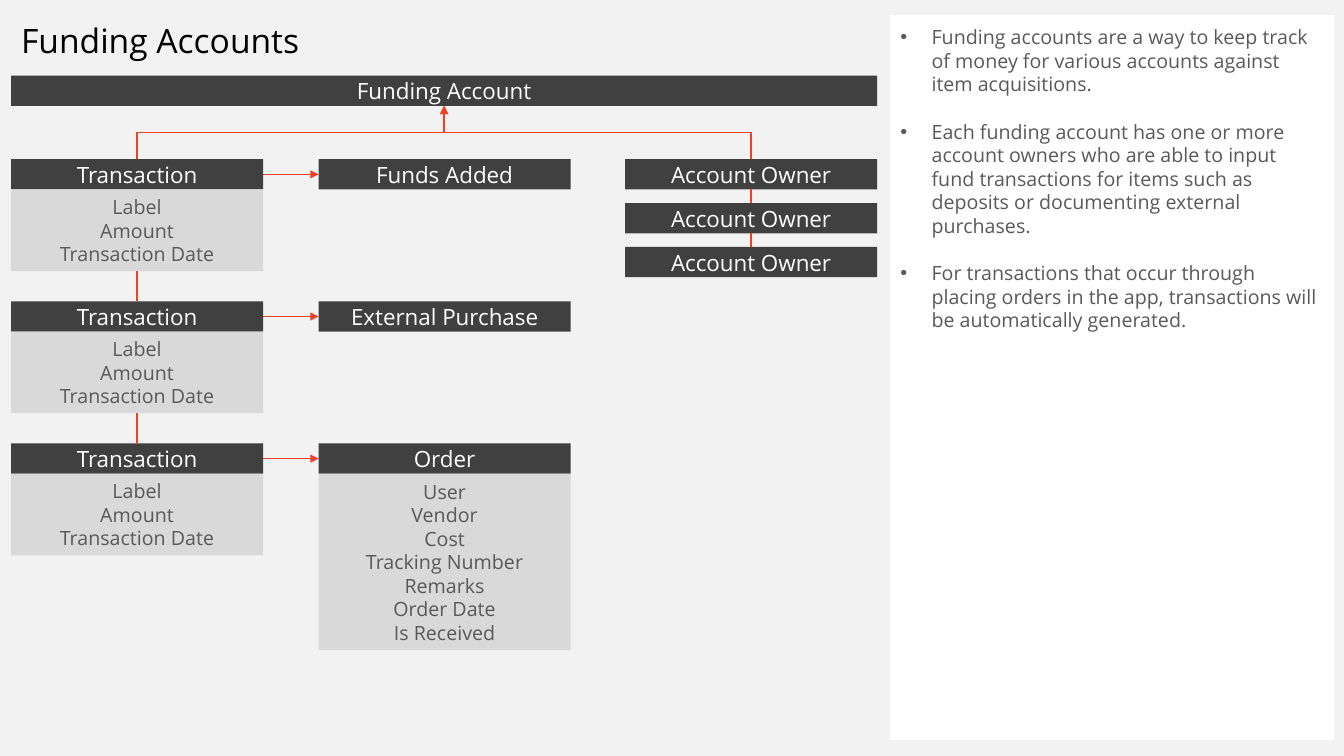
from dataclasses import dataclass

from pptx import Presentation
from pptx.dml.color import RGBColor
from pptx.enum.shapes import MSO_CONNECTOR as Conn, MSO_SHAPE as Shape
from pptx.enum.text import MSO_ANCHOR as Anchor, MSO_AUTO_SIZE as AutoSize, PP_ALIGN as Align
from pptx.oxml.ns import qn
from pptx.oxml.xmlchemy import OxmlElement
from pptx.shapes.autoshape import Shape as AutoShape
from pptx.shapes.connector import Connector
from pptx.slide import Slide
from pptx.text.text import TextFrame
from pptx.util import Inches, Pt

FONT = "Open Sans"
BACKGROUND = RGBColor(0xF2, 0xF2, 0xF2)
WHITE = RGBColor(0xFF, 0xFF, 0xFF)
BLACK = RGBColor(0, 0, 0)
DARK = RGBColor(0x40, 0x40, 0x40)
LIGHT = RGBColor(0xD9, 0xD9, 0xD9)
GREY = RGBColor(0x59, 0x59, 0x59)
RED = RGBColor(0xF1, 0x41, 0x24)

TOP, LEFT, BOTTOM, RIGHT = range(4)
COLS = (0.11, 3.16, 6.2)
ROWS = [1.58 + 1.41 * i for i in range(3)]
OWNER_PITCH = 0.435
HEADER_H, BOX_W, FULL_W = 0.3, 2.5, 8.59

NOTES = (
    "Funding accounts are a way to keep track of money for various accounts "
    "against item acquisitions.",
    "Each funding account has one or more account owners who are able to input "
    "fund transactions for items such as deposits or documenting external purchases.",
    "For transactions that occur through placing orders in the app, transactions "
    "will be automatically generated.",
)


@dataclass
class Entity:
    name: str
    x: float
    y: float
    fields: tuple[str, ...] = ()
    fields_h: float = 0.81
    w: float = BOX_W


def add_lines(tf: TextFrame, lines: tuple[str, ...], size: int, color: RGBColor,
              align: Align = Align.LEFT) -> None:
    for i, line in enumerate(lines):
        p = tf.paragraphs[0] if i == 0 else tf.add_paragraph()
        p.alignment = align
        p.space_before = Pt(0)
        r = p.add_run()
        r.text = line
        r.font.name, r.font.size = FONT, Pt(size)
        r.font.color.rgb = color


def place(sp: AutoShape, x: float, y: float, w: float, h: float) -> None:
    sp.left, sp.top, sp.width, sp.height = map(Inches, (x, y, w, h))


def add_box(s: Slide, x: float, y: float, w: float, h: float, fill: RGBColor,
            lines: tuple[str, ...], size: int, color: RGBColor) -> AutoShape:
    sp = s.shapes.add_shape(Shape.RECTANGLE, *map(Inches, (x, y, w, h)))
    sp.shadow.inherit = False
    sp.fill.solid()
    sp.fill.fore_color.rgb = fill
    sp.line.fill.background()
    tf = sp.text_frame
    tf.word_wrap = True
    tf.vertical_anchor = Anchor.MIDDLE
    add_lines(tf, lines, size, color, Align.CENTER)
    return sp


def add_entity(s: Slide, e: Entity) -> tuple[AutoShape, AutoShape]:
    """Draw the header and any field list; return the top and bottom boxes."""
    header = add_box(s, e.x, e.y, e.w, HEADER_H, DARK, (e.name,), 16, WHITE)
    if not e.fields:
        return header, header
    details = add_box(s, e.x, e.y + HEADER_H, e.w, e.fields_h, LIGHT, e.fields, 14, GREY)
    details.text_frame.auto_size = AutoSize.SHAPE_TO_FIT_TEXT
    return header, details


def connect(s: Slide, a: AutoShape, a_side: int, b: AutoShape, b_side: int,
            arrow: bool = False, kind: Conn = Conn.STRAIGHT) -> Connector:
    c = s.shapes.add_connector(kind, 0, 0, 0, 0)
    c.begin_connect(a, a_side)
    c.end_connect(b, b_side)
    c.line.color.rgb = RED
    c.line.width = Pt(1)
    if arrow:
        tail = OxmlElement("a:tailEnd")
        tail.set("type", "triangle")
        c.line._get_or_add_ln().append(tail)
    c._element.spPr.append(OxmlElement("a:effectLst"))
    return c


def connect_up(s: Slide, a: AutoShape, b: AutoShape) -> None:
    """Join the top of a to the bottom of b by an elbow that starts upwards."""
    c = connect(s, a, TOP, b, BOTTOM, arrow=True, kind=Conn.ELBOW)
    x1, y1 = a.left + a.width // 2, a.top
    x2, y2 = b.left + b.width // 2, b.top + b.height
    rise, run = y1 - y2, abs(x2 - x1)
    c.left, c.top = (x1 + x2 - rise) // 2, (y1 + y2 - run) // 2
    c.width, c.height = rise, run
    rightwards = x2 > x1
    xfrm = c._element.spPr.find(qn("a:xfrm"))
    xfrm.set("rot", str((90 if rightwards else 270) * 60000))
    xfrm.set("flipH", "1" if rightwards else "0")
    xfrm.set("flipV", "1")


def add_title(s: Slide) -> None:
    title = s.shapes.title
    place(title, COLS[0], 0.15, FULL_W, 0.5)
    tf = title.text_frame
    tf.word_wrap = True
    tf.vertical_anchor = Anchor.TOP
    tf.auto_size = AutoSize.SHAPE_TO_FIT_TEXT
    add_lines(tf, ("Funding Accounts",), 24, BLACK)


def add_notes_panel(s: Slide) -> None:
    body = s.placeholders[1]
    place(body, 8.83, 0.15, 4.4, 7.19)
    body.fill.solid()
    body.fill.fore_color.rgb = WHITE
    tf = body.text_frame
    tf.word_wrap = True
    tf.auto_size = AutoSize.NONE
    tf.margin_left = tf.margin_right = tf.margin_top = tf.margin_bottom = Inches(0.1)
    add_lines(tf, NOTES, 14, GREY)
    for p in tf.paragraphs:
        p.space_after = Pt(17)
        pPr = p._p.get_or_add_pPr()
        pPr.set("marL", str(Inches(0.31)))
        pPr.set("indent", str(Inches(-0.31)))
        bullet = OxmlElement("a:buChar")
        bullet.set("char", "•")
        pPr.append(bullet)


def add_diagram(s: Slide) -> None:
    account, _ = add_entity(s, Entity("Funding Account", COLS[0], 0.75, w=FULL_W))
    fields = ("Label", "Amount", "Transaction Date")
    order_fields = ("User", "Vendor", "Cost", "Tracking Number", "Remarks",
                    "Order Date", "Is Received")
    transactions = [add_entity(s, Entity("Transaction", COLS[0], y, fields)) for y in ROWS]
    results = [add_entity(s, e) for e in (
        Entity("Funds Added", COLS[1], ROWS[0]),
        Entity("External Purchase", COLS[1], ROWS[1]),
        Entity("Order", COLS[1], ROWS[2], order_fields, 1.75),
    )]
    owners = [add_entity(s, Entity("Account Owner", COLS[2], ROWS[0] + OWNER_PITCH * i))
              for i in range(3)]

    for chain in (transactions, owners):
        for (_, upper), (lower, _) in zip(chain, chain[1:]):
            connect(s, upper, BOTTOM, lower, TOP)
        connect_up(s, chain[0][0], account)
    for (transaction, _), (result, _) in zip(transactions, results):
        connect(s, transaction, RIGHT, result, LEFT, arrow=True)


def main() -> None:
    prs = Presentation()
    prs.slide_width, prs.slide_height = Inches(13.33), Inches(7.5)
    s = prs.slides.add_slide(prs.slide_layouts[1])
    s.background.fill.solid()
    s.background.fill.fore_color.rgb = BACKGROUND
    add_notes_panel(s)
    add_title(s)
    add_diagram(s)
    prs.save("out.pptx")


if __name__ == "__main__":
    main()
